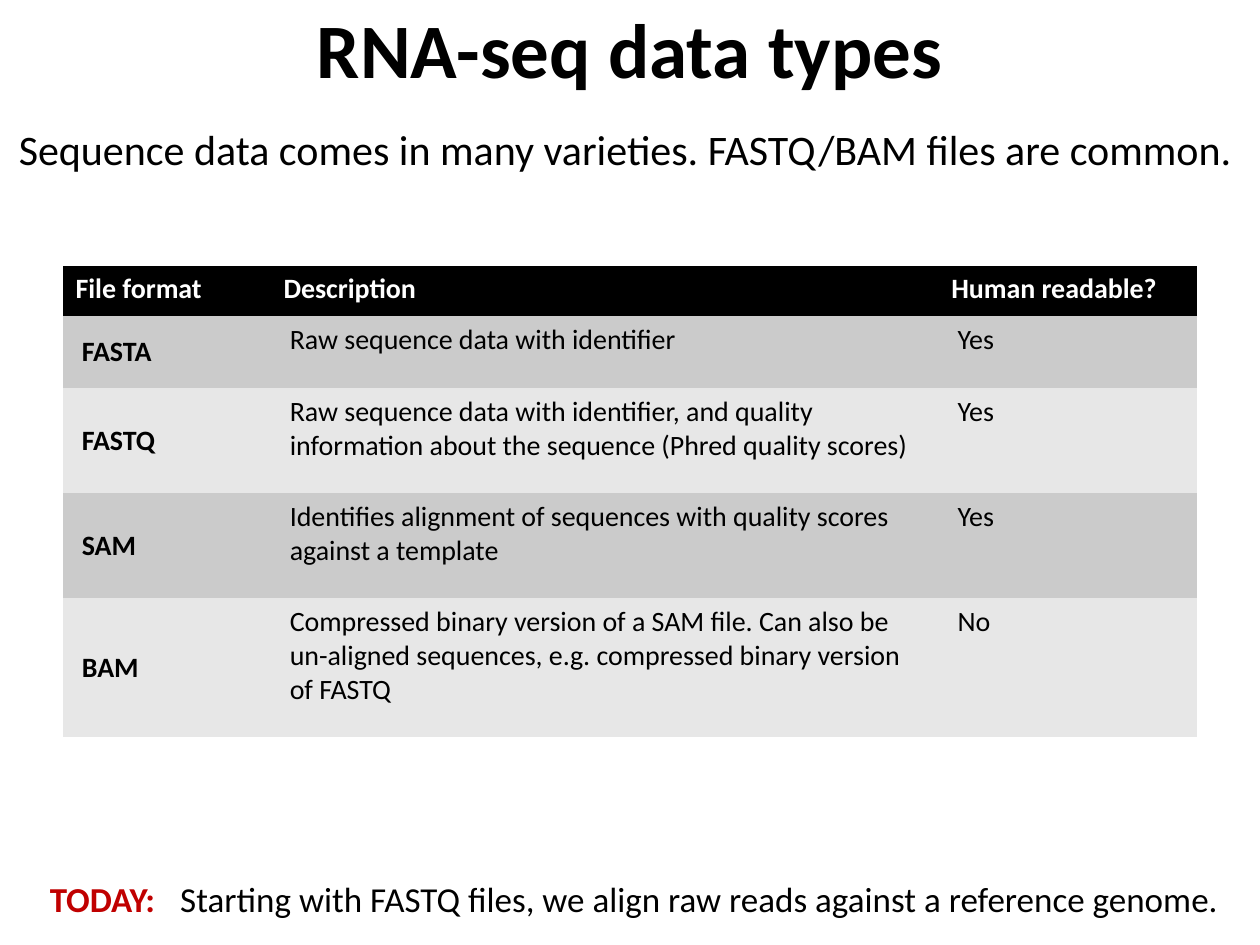
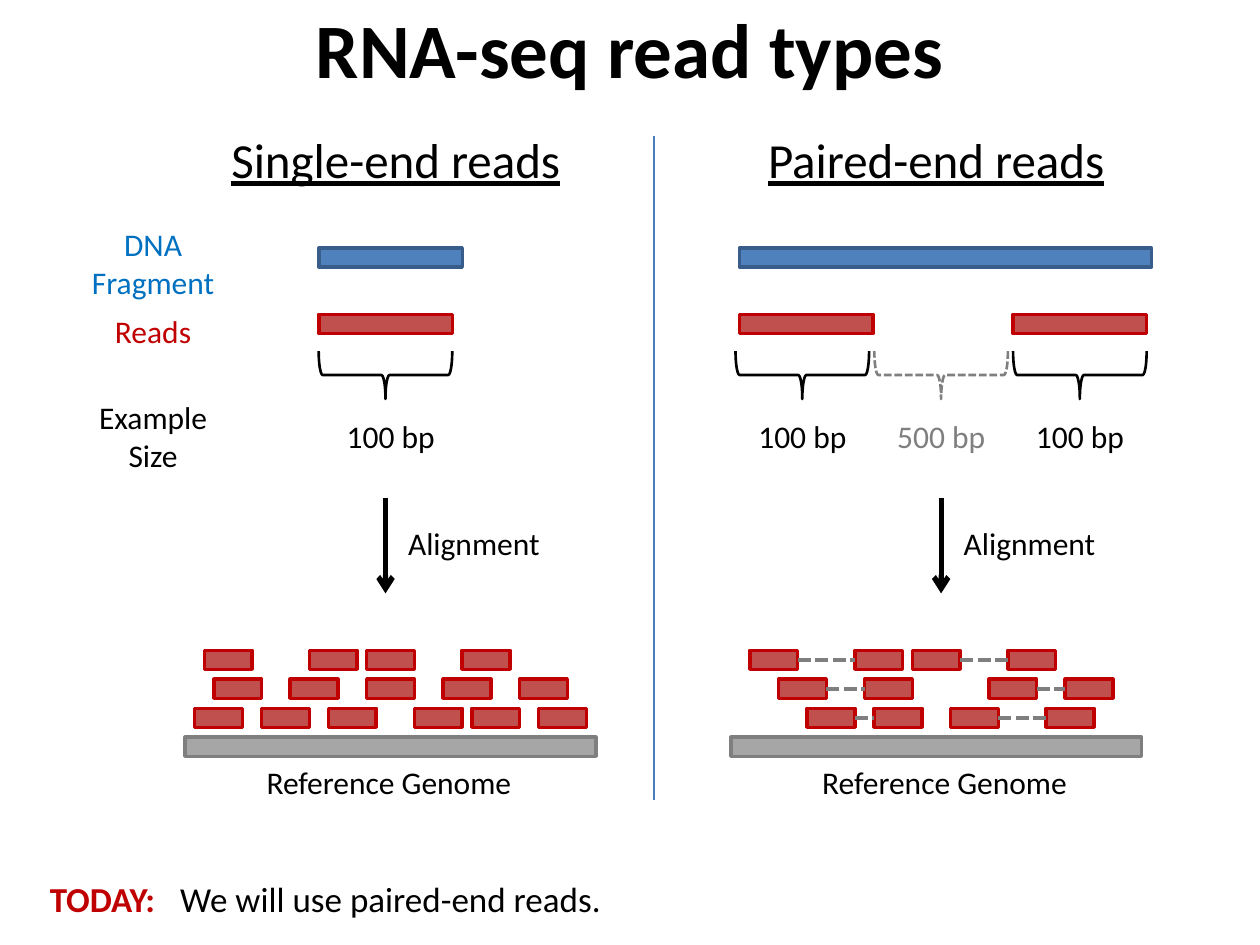
"""Build two slides on RNA-seq data and read types."""
from lxml import etree
from pptx import Presentation
from pptx.dml.color import RGBColor
from pptx.enum.dml import MSO_LINE
from pptx.enum.shapes import MSO_CONNECTOR, MSO_SHAPE
from pptx.enum.text import MSO_ANCHOR, PP_ALIGN
from pptx.oxml.ns import qn
from pptx.util import Pt

LEFT, CENTER, RIGHT = PP_ALIGN.LEFT, PP_ALIGN.CENTER, PP_ALIGN.RIGHT
TOP, MIDDLE = MSO_ANCHOR.TOP, MSO_ANCHOR.MIDDLE
RECT, BRACE = MSO_SHAPE.RECTANGLE, MSO_SHAPE.LEFT_BRACE
STRAIGHT, DASH = MSO_CONNECTOR.STRAIGHT, MSO_LINE.SQUARE_DOT

FONT = "Calibri"
BLACK, WHITE, GRAY = "000000", "FFFFFF", "7F7F7F"
RED, BLUE = "C00000", "0070C0"
READ, DNA, GENOME = ("C0504D", RED), ("4F81BD", "385D8A"), ("A6A6A6", GRAY)
BANDS = "CBCBCB", "E7E7E7"
NO_STYLE = "{2D5ABB26-0587-4C30-8999-92F81FD0307C}"
WIDE, HIGH = 720, 540
BAR, READ_W, BRACE_H = 10.9, 76.3, 27.4
UNIT, PITCH = 5.46, 16.56

FORMATS = [
    ("File format", "Description", "Human readable?"),
    ("FASTA", "Raw sequence data with identifier", "Yes"),
    ("FASTQ", "Raw sequence data with identifier, and quality information "
     "about the sequence (Phred quality scores)", "Yes"),
    ("SAM", "Identifies alignment of sequences with quality scores "
     "against a template", "Yes"),
    ("BAM", "Compressed binary version of a SAM file. Can also be un-aligned "
     "sequences, e.g. compressed binary version of FASTQ", "No"),
]


def color(code):
    """Turn a hex string into a colour."""
    return RGBColor.from_string(code)


def write(frame, text, size, ink=BLACK, align=LEFT, bold=False, line=False):
    """Fill a text frame, one paragraph per line of text."""
    frame.text = text
    for par in frame.paragraphs:
        par.alignment = align
        font = par.font
        font.name, font.size, font.bold = FONT, Pt(size), bold
        font.underline = line
        font.color.rgb = color(ink)


def label(slide, x, y, w, h, text, size=18, ink=BLACK, align=CENTER,
          anchor=TOP, **style):
    """Add a wrapped text box."""
    frame = slide.shapes.add_textbox(Pt(x), Pt(y), Pt(w), Pt(h)).text_frame
    frame.word_wrap = True
    frame.vertical_anchor = anchor
    write(frame, text, size, ink, align, **style)


def bar(slide, x, y, w, tone):
    """Add a thin outlined bar."""
    shape = slide.shapes.add_shape(RECT, Pt(x), Pt(y), Pt(w), Pt(BAR))
    shape.shadow.inherit = False
    shape.fill.solid()
    shape.fill.fore_color.rgb = color(tone[0])
    shape.line.color.rgb = color(tone[1])
    shape.line.width = Pt(2)
    return shape


def brace(slide, mid, y, ink=BLACK):
    """Add a brace that points down at its middle."""
    x, top = mid - BRACE_H / 2, y + (BRACE_H - READ_W) / 2
    shape = slide.shapes.add_shape(BRACE, Pt(x), Pt(top), Pt(BRACE_H),
                                   Pt(READ_W))
    shape.rotation = 270
    shape.shadow.inherit = False
    shape.fill.background()
    shape.line.color.rgb = color(ink)
    shape.line.width = Pt(1.5)
    if ink == GRAY:
        shape.line.dash_style = DASH


def rule(slide, x, y, end, ink, width):
    """Add a straight line without a shadow."""
    line = slide.shapes.add_connector(STRAIGHT, Pt(x), Pt(y), Pt(end[0]),
                                      Pt(end[1]))
    line.line.color.rgb = color(ink)
    line.line.width = Pt(width)
    etree.SubElement(line.element.spPr, qn("a:effectLst"))
    return line


def link(slide, first, last):
    """Join two reads of a pair by a dashed line."""
    line = rule(slide, 0, 0, (0, 0), GRAY, 2.5)
    line.line.dash_style = DASH
    line.begin_connect(first, 3)
    line.end_connect(last, 1)


def arrow(slide, x, y, h):
    """Add a downward arrow."""
    line = rule(slide, x, y, (x, y + h), BLACK, 3)
    etree.SubElement(line.line._get_or_add_ln(), qn("a:tailEnd"), type="arrow")


def grid(slide, x, y, cols, rows):
    """Add an unstyled table with the given column and row sizes."""
    frame = slide.shapes.add_table(len(rows), len(cols), Pt(x), Pt(y),
                                   Pt(sum(cols)), Pt(sum(rows)))
    next(frame.element.iter(qn("a:tableStyleId"))).text = NO_STYLE
    table = frame.table
    table.first_row = table.horz_banding = False
    for col, w in zip(table.columns, cols):
        col.width = Pt(w)
    for row, h in zip(table.rows, rows):
        row.height = Pt(h)
    return table


def formats(slide, x, y):
    """Place the table of file formats."""
    table = grid(slide, x, y, [118.8, 381.6, 147.6],
                 [28.8, 41.1, 60, 60, 79.4])
    for r, row in enumerate(FORMATS):
        head = r == 0
        for c, text in enumerate(row):
            cell = table.cell(r, c)
            cell.fill.solid()
            cell.fill.fore_color.rgb = color(
                BLACK if head else BANDS[(r - 1) % 2])
            cell.margin_left = cell.margin_right = Pt(7.2 if head else 10.8)
            cell.vertical_anchor = TOP if head or c else MIDDLE
            write(cell.text_frame, text, 16, WHITE if head else BLACK,
                  bold=head or c == 0)


def footer(slide, text):
    """Place the note on today's work at the foot."""
    table = grid(slide, 0, 489.6, [95.8, WIDE - 95.8], [50.4])
    today, note = table.cell(0, 0), table.cell(0, 1)
    today.vertical_anchor = note.vertical_anchor = MIDDLE
    write(today.text_frame, "TODAY:", 20, RED, RIGHT, bold=True)
    write(note.text_frame, text, 20)


def page(deck, title, note):
    """Start a slide with its title and footer."""
    slide = deck.slides.add_slide(deck.slide_layouts[6])
    label(slide, 0, 0, WIDE, 54, title, 44, anchor=MIDDLE, bold=True)
    footer(slide, note)
    return slide


def pile(slide, x, y, rows, paired):
    """Stack aligned reads on the reference genome."""
    for r, row in enumerate(rows):
        reads = [bar(slide, x + n * UNIT, y + r * PITCH, 5 * UNIT, READ)
                 for n in row]
        if paired:
            for first, last in zip(reads[::2], reads[1::2]):
                link(slide, first, last)
    bar(slide, x, y + len(rows) * PITCH, 43 * UNIT, GENOME)


def panel(slide, mid, y, head, shift, dna, reads, sizes, base, rows):
    """Place one read type around the vertical axis at mid."""
    paired = len(reads) > 1
    label(slide, mid + shift - 135, y, 270, 41, head, 28, line=True)
    bar(slide, mid + dna[0], y + 71.2, dna[1], DNA)
    for dx in reads:
        bar(slide, mid + dx, y + 109, READ_W, READ)
    for dx, nudge, text, ink in sizes:
        brace(slide, mid + dx, y + 130, ink)
        label(slide, mid + dx + nudge - 41, y + 164.2, 82, 29, text, ink=ink)
    arrow(slide, mid, y + 213.8, 54.7)
    label(slide, mid + 5.8, y + 225.3, 109.4, 29, "Alignment", align=LEFT)
    pile(slide, mid + base, y + 301, rows, paired)
    label(slide, mid + 2 - 79.2, y + 361.8, 158.4, 29, "Reference Genome")


def sides(slide, x, y):
    """Name the rows of the diagram at its left."""
    for dy, text, ink in [(0, "DNA\nFragment", BLUE), (49.7, "Reads", RED),
                          (98.6, "Example\nSize", BLACK)]:
        label(slide, x, y + dy, 91.4, 29 if dy == 49.7 else 50.4, text,
              ink=ink)


def types(deck):
    """Build the slide on data types."""
    slide = page(deck, "RNA-seq data types", "Starting with FASTQ files, "
                 "we align raw reads against a reference genome.")
    label(slide, 0, 67, WIDE, 36, "Sequence data comes in many varieties. "
          "FASTQ/BAM files are common. ", 24)
    formats(slide, 36, 152)


def reads(deck):
    """Build the slide on read types."""
    slide = page(deck, "RNA-seq read types", "We will use paired-end reads.")
    rule(slide, 373.7, 77.8, (373.7, 457.2), "4A7EBB", 0.75)
    sides(slide, 41.8, 125.3)
    panel(slide, 220.3, 70.6, "Single-end reads", 5.8, (-38.1, 82), [-38.1],
          [(0, 3, "100 bp", BLACK)], -114.5,
          [(2, 13, 19, 29), (3, 11, 19, 27, 35), (1, 8, 15, 24, 30, 37)])
    panel(slide, 537.8, 70.6, "Paired-end reads", -2.9, (-115.2, 235.4),
          [-115.2, 41.1],
          [(-79.3, 0, "100 bp", BLACK), (0, 0, "500 bp", GRAY),
           (79.3, 0, "100 bp", BLACK)], -120.2,
          [(2, 13, 19, 29), (5, 14, 27, 35), (8, 15, 23, 33)])


def main():
    """Build and save the deck."""
    deck = Presentation()
    deck.slide_width, deck.slide_height = Pt(WIDE), Pt(HIGH)
    types(deck)
    reads(deck)
    deck.save("out.pptx")


if __name__ == "__main__":
    main()
